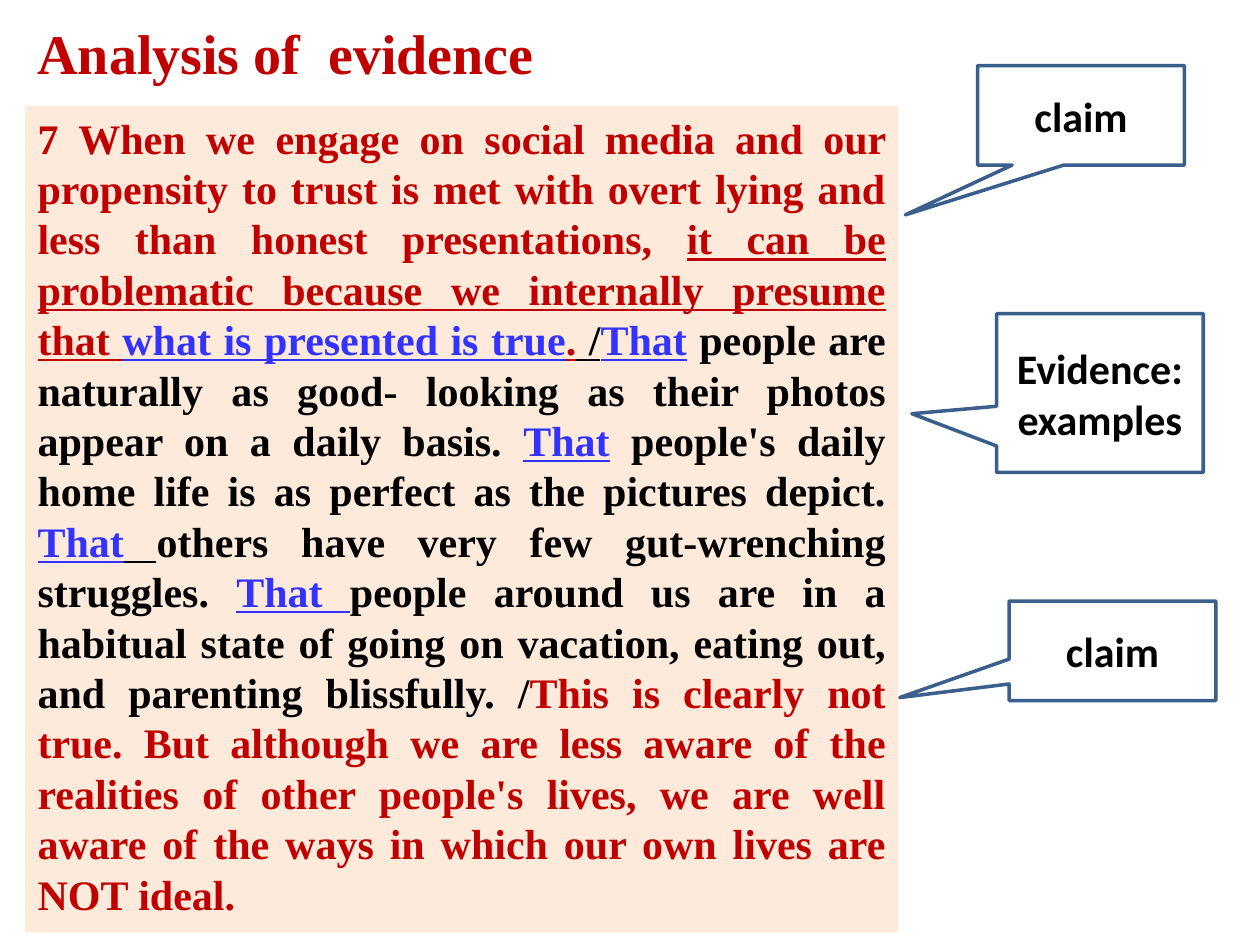
import pptx
import pptx.util
import pptx.dml.color
import pptx.enum.shapes
import pptx.enum.text

Inches = pptx.util.Inches
ALIGN = pptx.enum.text.PP_ALIGN
ANCHOR = pptx.enum.text.MSO_ANCHOR

COLORS = {
    "claim": "C00000",
    "marker": "3333FF",
    "text": "000000",
    "panel": "FDEADA",
    "outline": "3A5F8C",
}

# Each run: text, colour name, underlined
PASSAGE = [
    ("7 When we engage on social media and our propensity to trust is met with "
     "overt lying and less than honest presentations, ", "claim", False),
    ("it can be problematic because we internally presume that ", "claim", True),
    ("what is presented is true", "marker", True),
    (".", "claim", True),
    (" /", "text", True),
    ("That", "marker", True),
    (" people are naturally as good- looking as their photos appear on a daily "
     "basis. ", "text", False),
    ("That", "marker", True),
    (" people's daily home life is as perfect as the pictures depict. ", "text", False),
    ("That", "marker", True),
    (" ", "text", True),
    ("others have very few gut-wrenching struggles. ", "text", False),
    ("That ", "marker", True),
    ("people around us are in a habitual state of going on vacation, eating out, "
     "and parenting blissfully. /", "text", False),
    ("This is clearly not true. But although we are less aware of the realities of "
     "other people's lives, we are well aware of the ways in which our own lives "
     "are NOT ideal.", "claim", False),
]

# Each callout: text, box, pointer tip relative to the box centre
CALLOUTS = [
    ("claim", (7.76, 0.52, 1.64, 0.79), (-0.85, 1)),
    ("Evidence: examples", (7.91, 2.49, 1.64, 1.26), (-0.91, 0.13)),
    ("claim", (8.01, 4.77, 1.64, 0.79), (-1.03, 0.47)),
]


def rgb(name):
    return pptx.dml.color.RGBColor.from_string(COLORS[name])


class SlideBuilder:
    def __init__(self, slide, serif="Times New Roman", sans="Calibri"):
        self.slide = slide
        self.serif = serif
        self.sans = sans

    def set_text(self, sp, runs, font, size, align, anchor):
        """Fill the shape with one bold paragraph of (text, colour, underlined) runs."""
        tf = sp.text_frame
        tf.word_wrap = True
        tf.vertical_anchor = anchor
        p = tf.paragraphs[0]
        p.alignment = align
        p.font.name = font
        p.font.size = pptx.util.Pt(size)
        p.font.bold = True
        for text, color, underlined in runs:
            r = p.add_run()
            r.text = text
            r.font.color.rgb = rgb(color)
            r.font.underline = underlined

    def title(self, text, box):
        sp = self.slide.shapes.add_textbox(*map(Inches, box))
        self.set_text(sp, [(text, "claim", False)], self.serif, 32, ALIGN.LEFT, ANCHOR.TOP)

    def passage(self, runs, box):
        sp = self.slide.shapes.add_textbox(*map(Inches, box))
        sp.fill.solid()
        sp.fill.fore_color.rgb = rgb("panel")
        self.set_text(sp, runs, self.serif, 24, ALIGN.JUSTIFY, ANCHOR.TOP)

    def callout(self, text, box, tip):
        sp = self.slide.shapes.add_shape(
            pptx.enum.shapes.MSO_SHAPE.RECTANGULAR_CALLOUT, *map(Inches, box))
        sp.adjustments[0], sp.adjustments[1] = tip
        sp.shadow.inherit = False
        sp.fill.background()
        sp.line.color.rgb = rgb("outline")
        sp.line.width = pptx.util.Pt(2)
        self.set_text(sp, [(text, "text", False)], self.sans, 24, ALIGN.CENTER, ANCHOR.MIDDLE)


def main():
    prs = pptx.Presentation()
    prs.slide_width, prs.slide_height = Inches(10), Inches(7.5)
    builder = SlideBuilder(prs.slides.add_slide(prs.slide_layouts[6]))
    builder.passage(PASSAGE, (0.2, 0.84, 6.93, 6.56))
    for text, box, tip in CALLOUTS:
        builder.callout(text, box, tip)
    builder.title("Analysis of  evidence", (0.2, 0.1, 5, 0.64))
    prs.save("out.pptx")


if __name__ == "__main__":
    main()
